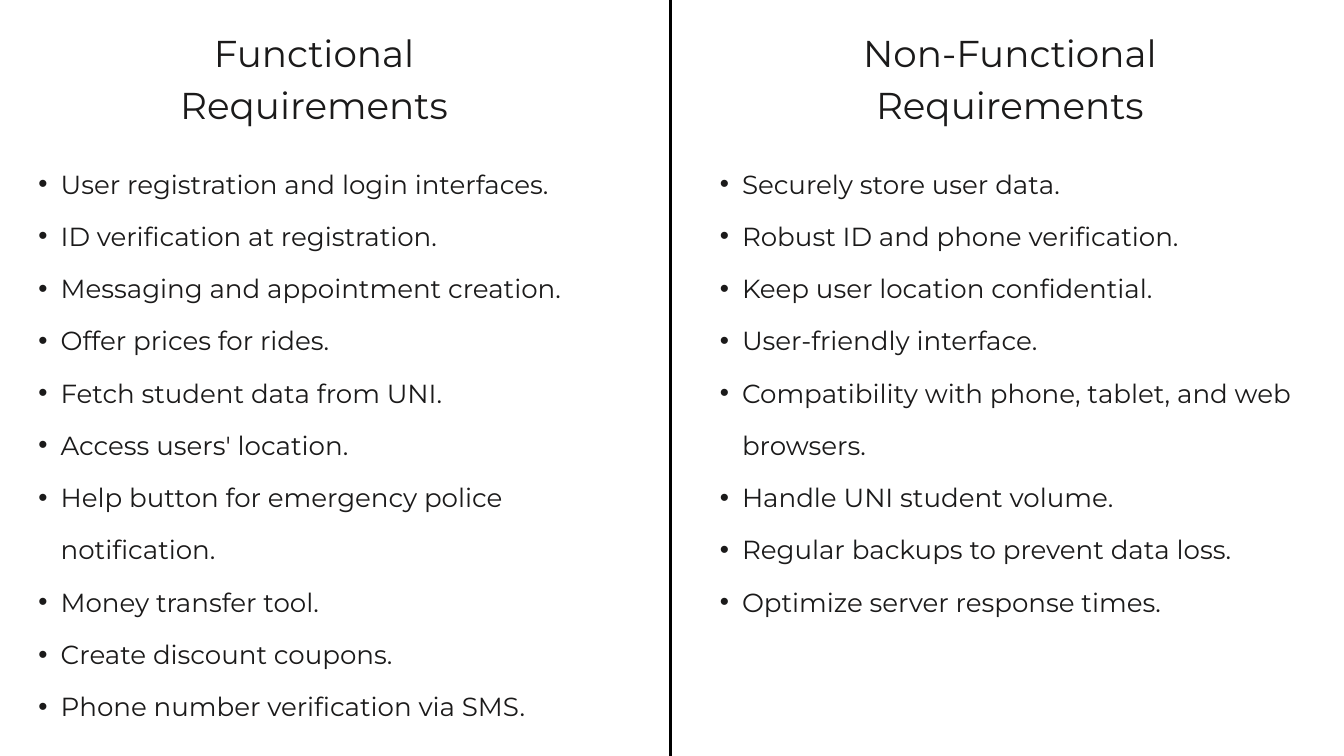
from dataclasses import dataclass

from lxml.etree import SubElement
from pptx import Presentation
from pptx.dml.color import RGBColor
from pptx.enum.shapes import MSO_CONNECTOR, MSO_SHAPE
from pptx.enum.text import MSO_AUTO_SIZE, PP_ALIGN
from pptx.oxml.ns import qn
from pptx.util import Pt


@dataclass(frozen=True)
class Theme:
    font: str = "Montserrat"
    ink: RGBColor = RGBColor(0x1B, 0x1A, 0x1A)
    paper: RGBColor = RGBColor(0xFF, 0xFF, 0xFF)
    rule: RGBColor = RGBColor(0, 0, 0)
    heading_size: int = 40
    body_size: int = 28
    line_spacing: int = 56


THEME = Theme()
PAGE_WIDTH, PAGE_HEIGHT = 1440, 810
DIVIDER_X = 718.5
HEADING_TOP, HEADING_WIDTH, HEADING_HEIGHT = 24, 424, 109
LIST_TOP, LIST_INDENT, BULLET_HANG = 157.5, 47.5, 23.75

# Each column: heading, heading left, list left, list width, list height, items
COLUMNS = [
    ("Functional Requirements", 124.5, 17.5, 672, 652, [
        "User registration and login interfaces.",
        "ID verification at registration.",
        "Messaging and appointment creation.",
        "Offer prices for rides.",
        "Fetch student data from UNI.",
        "Access users' location.",
        "Help button for emergency police notification.",
        "Money transfer tool.",
        "Create discount coupons.",
        "Phone number verification via SMS.",
    ]),
    ("Non-Functional Requirements", 870, 747.5, 669, 541, [
        "Securely store user data.",
        "Robust ID and phone verification.",
        "Keep user location confidential.",
        "User-friendly interface.",
        "Compatibility with phone, tablet, and web browsers.",
        "Handle UNI student volume.",
        "Regular backups to prevent data loss.",
        "Optimize server response times.",
    ]),
]


def add_text(page, lines, left, top, width, height, size):
    """Add a margin-free text box with one paragraph per line; return its frame."""
    box = page.shapes.add_textbox(Pt(left), Pt(top), Pt(width), Pt(height))
    frame = box.text_frame
    frame.word_wrap = True
    frame.auto_size = MSO_AUTO_SIZE.SHAPE_TO_FIT_TEXT
    frame.margin_left = frame.margin_right = frame.margin_top = frame.margin_bottom = 0
    frame.text = "\n".join(lines)
    for paragraph in frame.paragraphs:
        paragraph.line_spacing = Pt(THEME.line_spacing)
        for span in paragraph.runs:
            span.font.name = THEME.font
            span.font.size = Pt(size)
            span.font.color.rgb = THEME.ink
    return frame


def add_bullet(paragraph):
    paragraph.level = 1
    properties = paragraph._p.get_or_add_pPr()
    properties.set("marL", str(Pt(LIST_INDENT)))
    properties.set("indent", str(-Pt(BULLET_HANG)))
    SubElement(properties, qn("a:buFont")).set("typeface", "Arial")
    SubElement(properties, qn("a:buChar")).set("char", "•")


def add_panel(page):
    panel = page.shapes.add_shape(
        MSO_SHAPE.RECTANGLE, 0, 0, Pt(PAGE_WIDTH), Pt(PAGE_HEIGHT))
    panel.shadow.inherit = False
    panel.fill.solid()
    panel.fill.fore_color.rgb = THEME.paper
    panel.line.fill.background()


def add_divider(page):
    divider = page.shapes.add_connector(
        MSO_CONNECTOR.STRAIGHT, Pt(DIVIDER_X), Pt(PAGE_HEIGHT), Pt(DIVIDER_X), 0)
    divider.line.color.rgb = THEME.rule
    divider.line.width = Pt(3)
    SubElement(divider._element.spPr, qn("a:effectLst"))


def main():
    deck = Presentation()
    deck.slide_width, deck.slide_height = Pt(PAGE_WIDTH), Pt(PAGE_HEIGHT)
    page = deck.slides.add_slide(deck.slide_layouts[6])
    add_panel(page)
    add_divider(page)
    for heading, heading_left, list_left, list_width, list_height, items in COLUMNS:
        title = add_text(page, [heading], heading_left, HEADING_TOP,
                         HEADING_WIDTH, HEADING_HEIGHT, THEME.heading_size)
        title.paragraphs[0].alignment = PP_ALIGN.CENTER
        body = add_text(page, items, list_left, LIST_TOP,
                        list_width, list_height, THEME.body_size)
        for paragraph in body.paragraphs:
            add_bullet(paragraph)
    deck.save("out.pptx")


if __name__ == "__main__":
    main()
